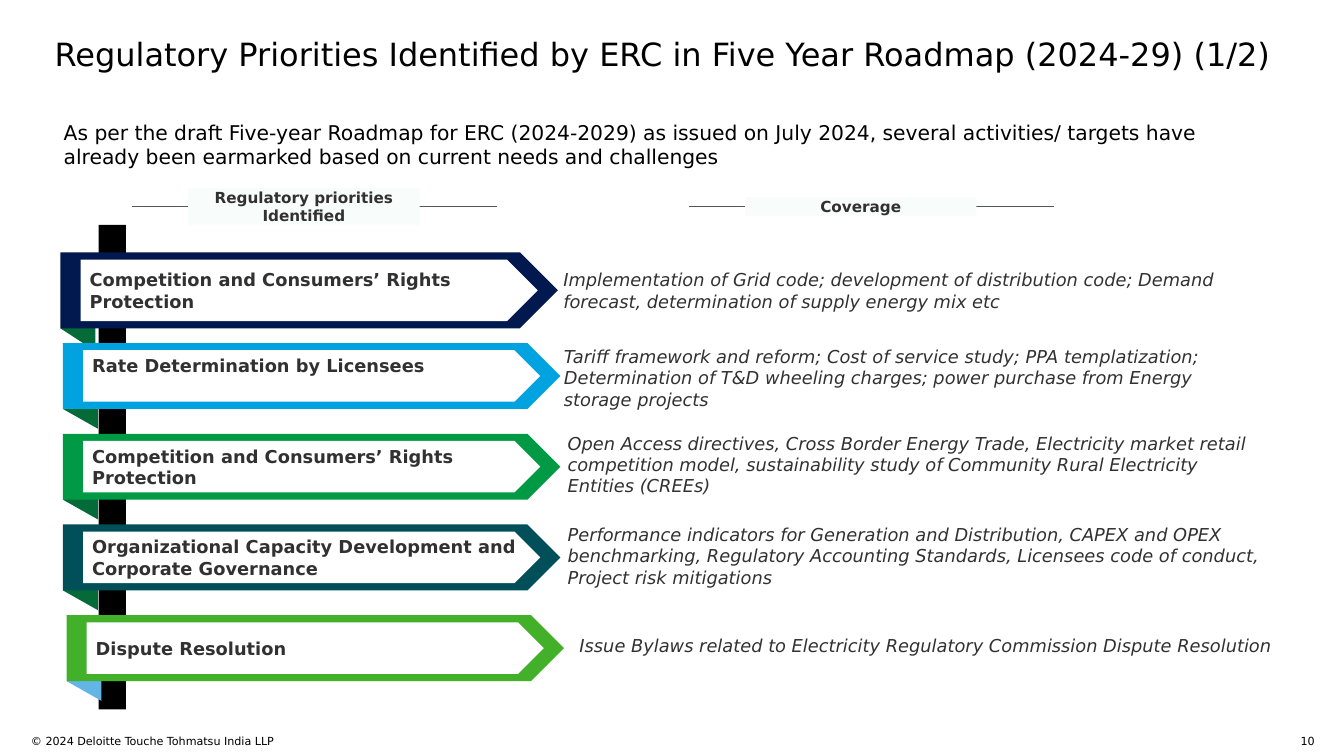
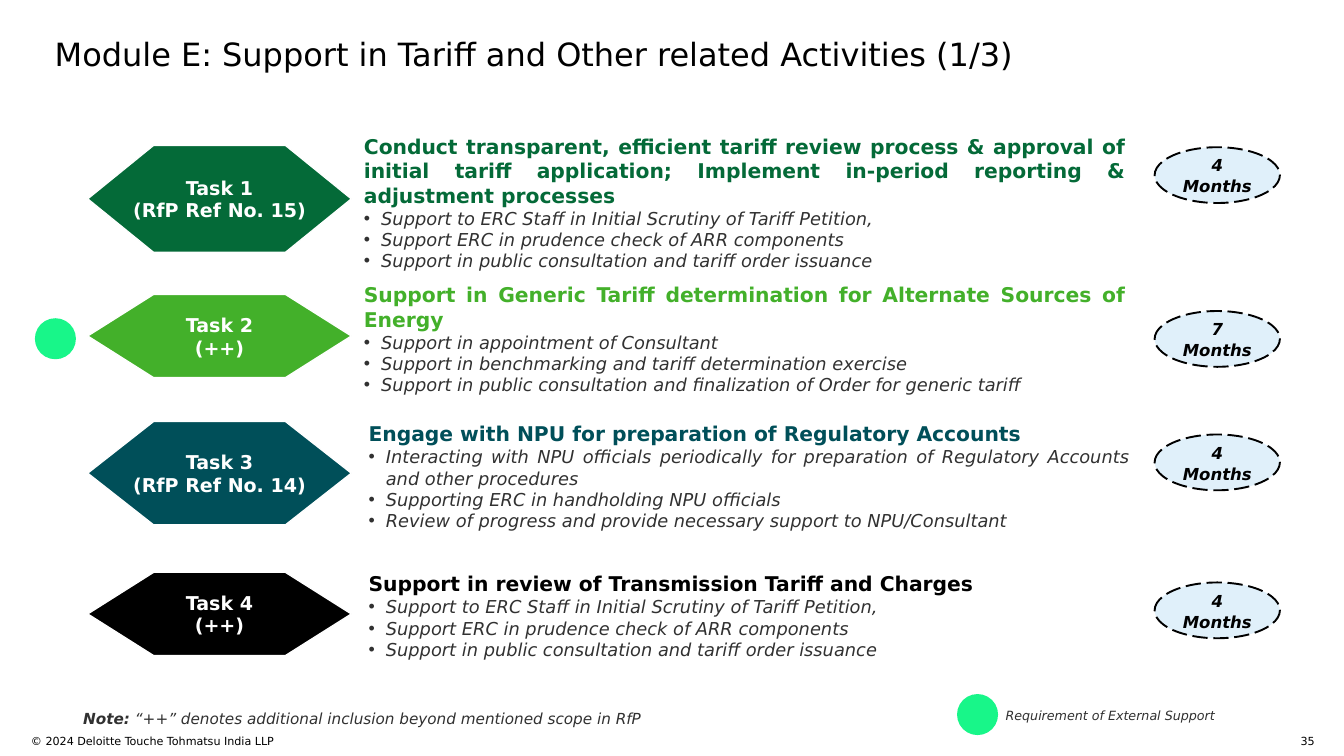
from dataclasses import dataclass

from lxml.etree import SubElement
from pptx import Presentation
from pptx.dml.color import RGBColor
from pptx.enum.dml import MSO_LINE
from pptx.enum.shapes import MSO_CONNECTOR, MSO_SHAPE
from pptx.enum.text import MSO_ANCHOR, MSO_AUTO_SIZE, PP_ALIGN
from pptx.oxml.ns import qn
from pptx.util import Cm, Pt


@dataclass(frozen=True)
class Theme:
    font: str = "DejaVu Sans"
    black: str = "000000"
    white: str = "FFFFFF"
    ink: str = "313131"
    rule: str = "53565A"
    label: str = "F8FCFA"
    navy: str = "01194F"
    sky: str = "00A3E0"
    pale_blue: str = "62B5E5"
    green: str = "009A44"
    dark_green: str = "046A38"
    lime: str = "43B02A"
    teal: str = "004F59"
    badge: str = "E0F0FA"
    marker: str = "18F689"
    title_size: float = 25.2
    heading_size: float = 16
    task_size: float = 15
    body_size: float = 14
    badge_size: float = 13
    label_size: float = 12
    legend_size: float = 10
    footer_size: float = 8.8


THEME = Theme()
COPYRIGHT = "© 2024 Deloitte Touche Tohmatsu India LLP"
DEFAULT_INSETS = (0.25, 0.13, 0.25, 0.13)
NO_INSETS = (0, 0, 0, 0)

ROADMAP_TITLE = "Regulatory Priorities Identified by ERC in Five Year Roadmap (2024-29) (1/2)"
ROADMAP_INTRO = (
    "As per the draft Five-year Roadmap for ERC (2024-2029) as issued on July 2024, several "
    "activities/ targets have already been earmarked based on current needs and challenges"
)
COLUMN_HEADINGS = [
    (3.66, 1.02, "Regulatory priorities Identified"),
    (19.13, 0.51, "Coverage"),
]
BAR_TOP, BAR_PITCH = 7.01, 2.52

# left, height, colour, fold colour, text lift, priority, coverage left, top, height, coverage
PRIORITIES = [
    (1.68, 2.11, THEME.navy, THEME.dark_green, 0,
     "Competition and Consumers’ Rights Protection", (15.65, 7.47, 1.19),
     "Implementation of Grid code; development of distribution code; Demand forecast, "
     "determination of supply energy mix etc"),
    (1.75, 1.83, THEME.sky, THEME.dark_green, 0.58,
     "Rate Determination by Licensees", (15.67, 9.6, 1.8),
     "Tariff framework and reform; Cost of service study; PPA templatization; Determination "
     "of T&D wheeling charges; power purchase from Energy storage projects"),
    (1.75, 1.83, THEME.green, THEME.dark_green, 0,
     "Competition and Consumers’ Rights Protection", (15.77, 12.01, 1.8),
     "Open Access directives, Cross Border Energy Trade, Electricity market retail competition "
     "model, sustainability study of Community Rural Electricity Entities (CREEs)"),
    (1.75, 1.83, THEME.teal, THEME.dark_green, 0,
     "Organizational Capacity Development and Corporate Governance", (15.77, 14.55, 1.8),
     "Performance indicators for Generation and Distribution, CAPEX and OPEX benchmarking, "
     "Regulatory Accounting Standards, Licensees code of conduct, Project risk mitigations"),
    (1.85, 1.83, THEME.lime, THEME.pale_blue, 0,
     "Dispute Resolution", (16.1, 17.63, 0.61),
     "Issue Bylaws related to Electricity Regulatory Commission Dispute Resolution"),
]

MODULE_TITLE = "Module E: Support in Tariff and Other related Activities (1/3)"
REVIEW_STEPS = [
    "Support to ERC Staff in Initial Scrutiny of Tariff Petition,",
    "Support ERC in prudence check of ARR components",
    "Support in public consultation and tariff order issuance",
]
TASKS = [
    ("Task 1\n(RfP Ref No. 15)", THEME.dark_green, (4.04, 2.97), (10.11, 3.73, 21.16, 3.84),
     "Conduct transparent, efficient tariff review process & approval of initial tariff "
     "application; Implement in-period reporting & adjustment processes",
     REVIEW_STEPS, 4.09, "4 Months"),
    ("Task 2\n(++)", THEME.lime, (8.18, 2.31), (10.11, 7.85, 21.16, 3.18),
     "Support in Generic Tariff determination for Alternate Sources of Energy",
     ["Support in appointment of Consultant",
      "Support in benchmarking and tariff determination exercise",
      "Support in public consultation and finalization of Order for generic tariff"],
     8.64, "7 Months"),
    ("Task 3\n(RfP Ref No. 14)", THEME.teal, (11.71, 2.87), (10.24, 11.71, 21.16, 3.07),
     "Engage with NPU for preparation of Regulatory Accounts",
     ["Interacting with NPU officials periodically for preparation of Regulatory Accounts "
      "and other procedures",
      "Supporting ERC in handholding NPU officials",
      "Review of progress and provide necessary support to NPU/Consultant"],
     12.07, "4 Months"),
    ("Task 4\n(++)", THEME.black, (15.9, 2.31), (10.24, 15.88, 21.84, 2.49),
     "Support in review of Transmission Tariff and Charges",
     REVIEW_STEPS, 16.18, "4 Months"),
]


def format_run(span, size, color=THEME.ink, bold=False, italic=False):
    font = span.font
    font.name, font.size = THEME.font, Pt(size)
    font.bold, font.italic = bold, italic
    font.color.rgb = RGBColor.from_string(color)


def write(shape, text, size, color=THEME.ink, bold=False, italic=False,
          align=PP_ALIGN.LEFT, anchor=MSO_ANCHOR.TOP, insets=NO_INSETS):
    frame = shape.text_frame
    frame.text = text
    frame.word_wrap = True
    frame.auto_size = MSO_AUTO_SIZE.NONE
    frame.vertical_anchor = anchor
    (frame.margin_left, frame.margin_top,
     frame.margin_right, frame.margin_bottom) = map(Cm, insets)
    for para in frame.paragraphs:
        para.alignment = align
        para.space_before = Pt(0)
        for span in para.runs:
            format_run(span, size, color, bold, italic)
    return frame


def place(shape, left, top, width, height):
    shape.left, shape.top = Cm(left), Cm(top)
    shape.width, shape.height = Cm(width), Cm(height)


def set_bullet(para, char=None):
    properties = para._p.get_or_add_pPr()
    indent = Cm(0.48) if char else 0
    properties.set("marL", str(indent))
    properties.set("indent", str(-indent))
    if char:
        SubElement(properties, qn("a:buChar")).set("char", char)
    else:
        SubElement(properties, qn("a:buNone"))


def add_text(page, area, text, size, **style):
    box = page.shapes.add_textbox(*map(Cm, area))
    return write(box, text, size, **style)


def paint(shape, fill):
    shape.shadow.inherit = False
    shape.fill.solid()
    shape.fill.fore_color.rgb = RGBColor.from_string(fill)
    shape.line.fill.background()


def outline(shape, color, width):
    shape.line.color.rgb = RGBColor.from_string(color)
    shape.line.width = Pt(width)


def add_block(page, kind, area, fill):
    block = page.shapes.add_shape(kind, *map(Cm, area))
    paint(block, fill)
    return block


def add_page(deck, layout, title, number):
    page = deck.slides.add_slide(deck.slide_layouts.get_by_name(layout))
    place(page.shapes.title, 1.52, 0.97, 34.19, 1.02)
    write(page.shapes.title, title, THEME.title_size, THEME.black)
    add_text(page, (0.86, 20.4, 16.4, 0.5), COPYRIGHT, THEME.footer_size, color=THEME.black)
    add_text(page, (35.59, 20.4, 0.94, 0.5), number, THEME.footer_size,
             color=THEME.black, align=PP_ALIGN.RIGHT)
    return page


def add_column_heading(page, left, height, text):
    middle = 5.74
    rule = page.shapes.add_connector(
        MSO_CONNECTOR.STRAIGHT, Cm(left), Cm(middle), Cm(left + 10.16), Cm(middle))
    outline(rule, THEME.rule, 0.75)
    SubElement(rule._element.spPr, qn("a:effectLst"))
    label = add_block(page, MSO_SHAPE.RECTANGLE,
                      (left + 1.57, middle - height / 2, 6.43, height), THEME.label)
    write(label, text, THEME.label_size, bold=True, align=PP_ALIGN.CENTER)


def add_ribbon(page, left, top, height, color, fold_color, lift, text):
    fold_width, fold_height = height * 0.6, 0.97
    fold = add_block(page, MSO_SHAPE.ISOSCELES_TRIANGLE,
                     (left + (fold_height - fold_width) / 2, top + height - fold_height / 2,
                      fold_width, fold_height), fold_color)
    fold.rotation = 270
    add_block(page, MSO_SHAPE.PENTAGON, (left, top, 13.82, height), color)
    panel = add_block(page, MSO_SHAPE.PENTAGON,
                      (left + 0.56, top + 0.2, 12.7, height - 0.4), THEME.white)
    write(panel, text, THEME.body_size, bold=True, anchor=MSO_ANCHOR.MIDDLE,
          insets=(0.25, 0.13, 0.25, 0.13 + lift))


def add_hexagon(page, top, height, color, text):
    left, width = 2.44, 7.32
    right, middle, bottom = left + width, top + height / 2, top + height
    inner_left, inner_right = left + width / 4, right - width / 4
    corners = [(left, middle), (inner_left, top), (inner_right, top),
               (right, middle), (inner_right, bottom)]
    builder = page.shapes.build_freeform(Cm(inner_left), Cm(bottom))
    builder.add_line_segments([(Cm(x), Cm(y)) for x, y in corners], close=True)
    hexagon = builder.convert_to_shape()
    paint(hexagon, color)
    outline(hexagon, THEME.white, 1)
    write(hexagon, text, THEME.task_size, THEME.white, bold=True, align=PP_ALIGN.CENTER,
          anchor=MSO_ANCHOR.MIDDLE, insets=DEFAULT_INSETS)


def fill_list(holder, area, heading, color, items):
    place(holder, *area)
    frame = write(holder, "\n".join([heading, *items]), THEME.body_size,
                  italic=True, align=PP_ALIGN.JUSTIFY)
    first, *others = frame.paragraphs
    set_bullet(first)
    format_run(first.runs[0], THEME.heading_size, color, bold=True)
    for para in others:
        set_bullet(para, "•")


def add_badge(page, top, text):
    badge = add_block(page, MSO_SHAPE.OVAL, (32.08, top, 3.48, 1.55), THEME.badge)
    outline(badge, THEME.black, 1.5)
    badge.line.dash_style = MSO_LINE.LONG_DASH
    frame = write(badge, text, THEME.badge_size, THEME.black, bold=True, italic=True,
                  align=PP_ALIGN.CENTER, anchor=MSO_ANCHOR.MIDDLE, insets=(0.25,) * 4)
    frame.paragraphs[0].line_spacing = 1.06


def add_marker(page, left, top):
    add_block(page, MSO_SHAPE.OVAL, (left, top, 1.14, 1.14), THEME.marker)


def build_roadmap(deck):
    page = add_page(deck, "Title and Content", ROADMAP_TITLE, "10")
    intro = page.placeholders[1]
    place(intro, 1.52, 3.2, 34.19, 1.63)
    frame = write(intro, ROADMAP_INTRO, THEME.heading_size, THEME.black, insets=DEFAULT_INSETS)
    set_bullet(frame.paragraphs[0])
    for heading in COLUMN_HEADINGS:
        add_column_heading(page, *heading)
    add_block(page, MSO_SHAPE.RECTANGLE, (2.74, 6.25, 0.76, 13.46), THEME.black)
    for row, (left, height, color, fold, lift, name, spot, coverage) in enumerate(PRIORITIES):
        add_ribbon(page, left, BAR_TOP + row * BAR_PITCH, height, color, fold, lift, name)
        text_left, text_top, text_height = spot
        add_text(page, (text_left, text_top, 19.35, text_height), coverage,
                 THEME.body_size, italic=True)


def build_module(deck):
    page = add_page(deck, "Comparison", MODULE_TITLE, "35")
    holders = list(page.placeholders)[1:]
    for holder, task in zip(holders, TASKS):
        name, color, span, area, heading, items, badge_top, duration = task
        fill_list(holder, area, heading, color, items)
        add_hexagon(page, *span, color, name)
        add_badge(page, badge_top, duration)
    add_marker(page, 0.97, 8.84)
    add_marker(page, 26.59, 19.28)
    add_text(page, (27.94, 19.66, 7.21, 0.43), "Requirement of External Support",
             THEME.legend_size, italic=True)
    note = add_text(page, (2.06, 19.56, 18.67, 0.76), "Note:", THEME.label_size,
                    bold=True, italic=True, insets=DEFAULT_INSETS)
    span = note.paragraphs[0].add_run()
    span.text = " “++” denotes additional inclusion beyond mentioned scope in RfP"
    format_run(span, THEME.label_size, italic=True)


def main():
    deck = Presentation()
    deck.slide_width, deck.slide_height = Cm(37.34), Cm(21)
    build_roadmap(deck)
    build_module(deck)
    deck.save("out.pptx")


if __name__ == "__main__":
    main()
